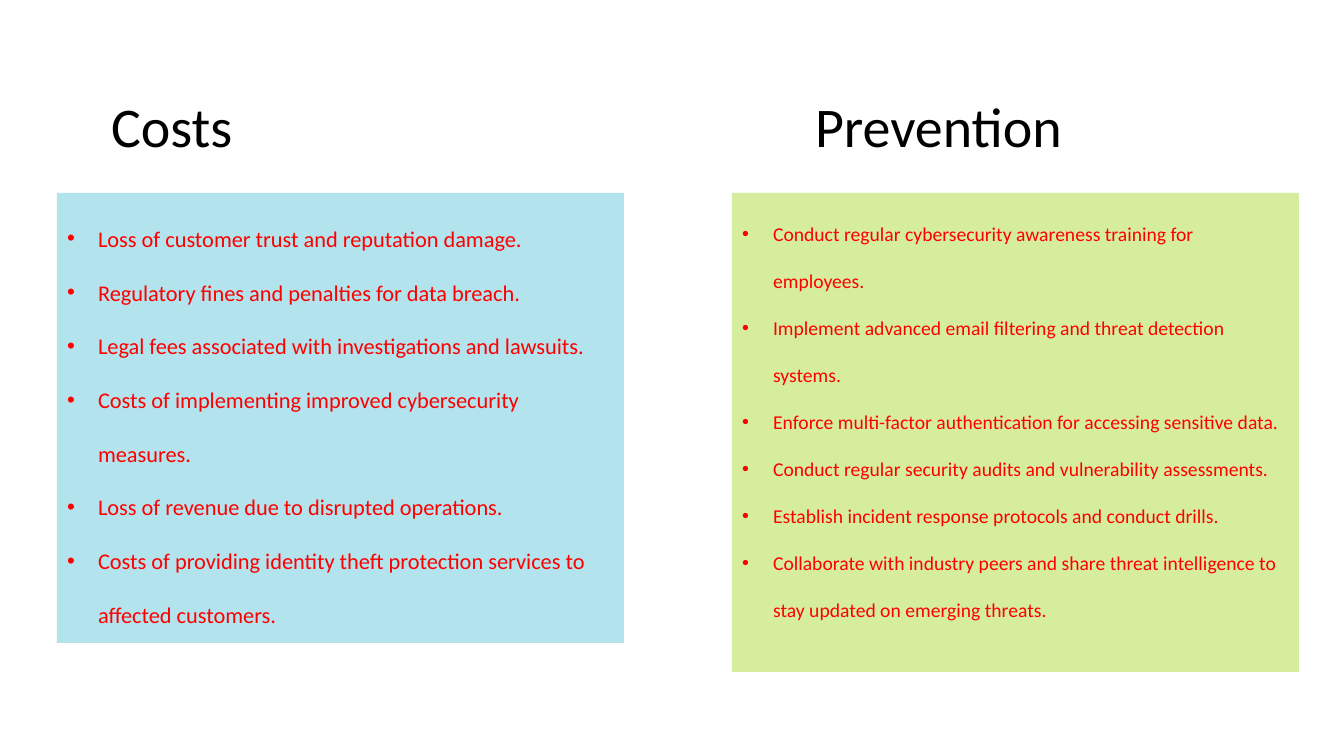
from lxml import etree
from pptx import Presentation
from pptx import util as u
from pptx.dml.color import RGBColor
from pptx.enum import text
from pptx.oxml import ns

PX = 914400 / 100.8  # EMU in one px
BLACK = RGBColor(0x00, 0x00, 0x00)
RED = RGBColor(0xFF, 0x00, 0x00)
BLUE = RGBColor(0xB3, 0xE3, 0xED)
GREEN = RGBColor(0xD7, 0xED, 0x9E)

COSTS = [
    "Loss of customer trust and reputation damage.",
    "Regulatory fines and penalties for data breach.",
    "Legal fees associated with investigations and lawsuits.",
    "Costs of implementing improved cybersecurity measures.",
    "Loss of revenue due to disrupted operations.",
    "Costs of providing identity theft protection services to affected customers.",
]
PREVENTION = [
    "Conduct regular cybersecurity awareness training for employees.",
    "Implement advanced email filtering and threat detection systems.",
    "Enforce multi-factor authentication for accessing sensitive data.",
    "Conduct regular security audits and vulnerability assessments.",
    "Establish incident response protocols and conduct drills.",
    "Collaborate with industry peers and share threat intelligence to stay updated on emerging threats.",
]


def px(length):
    return u.Emu(round(length * PX))


def fill_box(box, place, lines, size, color, spacing):
    box.left, box.top, box.width, box.height = [px(length) for length in place]
    frame = box.text_frame
    frame.text = "\n".join(lines)
    frame.word_wrap = True
    frame.auto_size = text.MSO_AUTO_SIZE.NONE
    frame.vertical_anchor = text.MSO_ANCHOR.TOP
    for para in frame.paragraphs:
        para.alignment = text.PP_ALIGN.LEFT
        para.line_spacing = spacing
        para.space_before = para.space_after = u.Pt(0)
        for span in para.runs:
            span.font.name = "Calibri"
            span.font.size = u.Pt(size)
            span.font.bold = False
            span.font.color.rgb = color


# Page with the comparison layout: headings 0 and 3, lists 2 and 4
deck = Presentation()
deck.slide_width, deck.slide_height = px(1344), px(756)
page = deck.slides.add_slide(deck.slide_layouts[4])
holders = {box.placeholder_format.idx: box for box in page.placeholders}
spare = holders[1].element
spare.getparent().remove(spare)

# Headings
fill_box(holders[0], (101, 86, 378, 78), ["Costs"], 40, BLACK, 1.0)
fill_box(holders[3], (805, 86, 351, 78), ["Prevention"], 40, BLACK, 1.0)

# Bulleted lists on coloured panels
panels = [
    (holders[2], (57, 193, 567, 450), COSTS, 16, BLUE),
    (holders[4], (732, 193, 567, 479), PREVENTION, 14, GREEN),
]
for panel, place, lines, size, color in panels:
    fill_box(panel, place, lines, size, RED, 2.0)
    panel.fill.solid()
    panel.fill.fore_color.rgb = color
    for para in panel.text_frame.paragraphs:
        props = para._p.get_or_add_pPr()
        props.set("marL", str(px(31)))
        props.set("indent", str(-px(31)))
        etree.SubElement(props, ns.qn("a:buFont"), typeface="Arial")
        etree.SubElement(props, ns.qn("a:buChar"), char="•")

deck.save("out.pptx")
